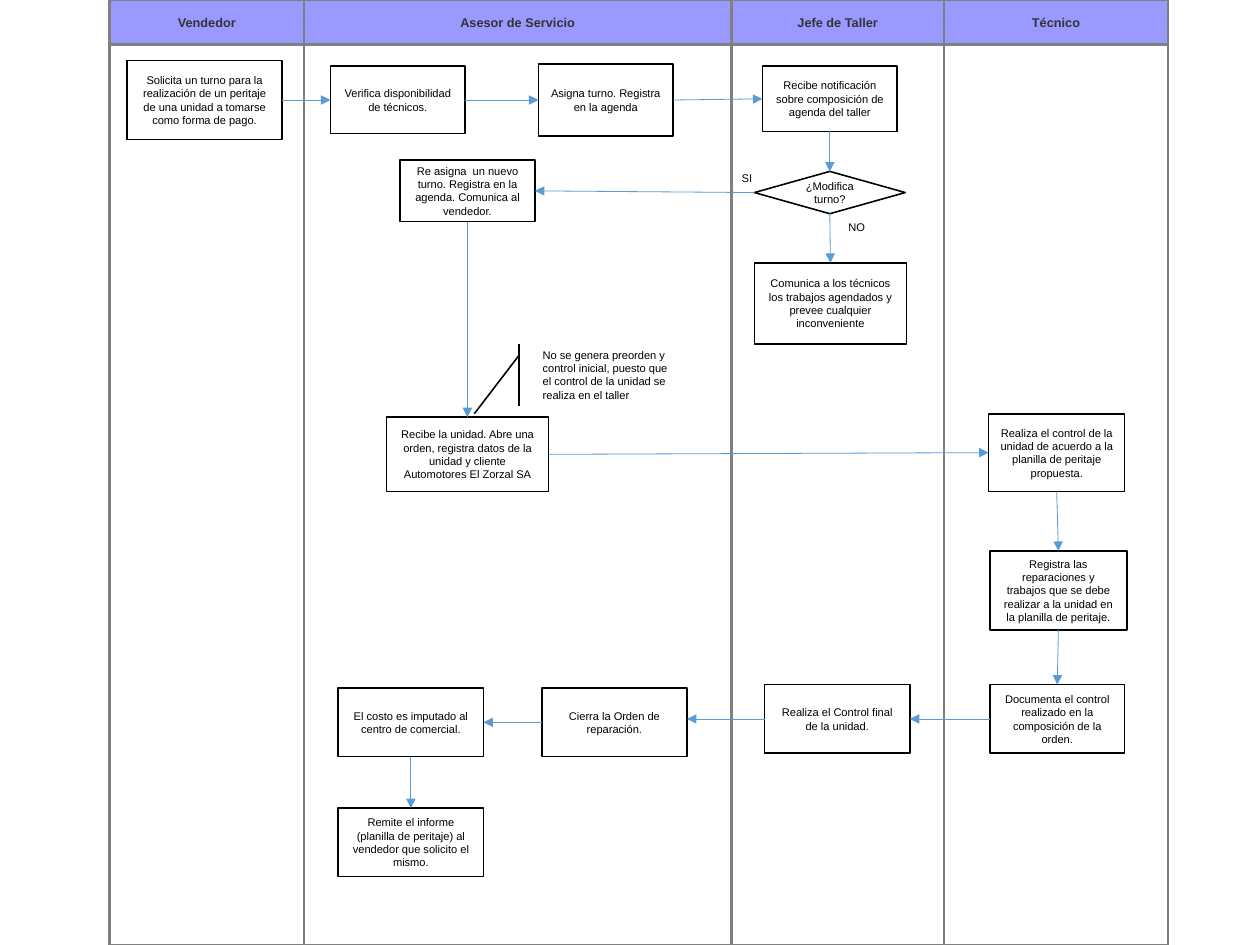
from lxml import etree
from pptx import Presentation
from pptx import util as u
from pptx.dml.color import RGBColor
from pptx.enum import shapes, text
from pptx.oxml.ns import qn

COLORS = {"header": "9999FF", "title": "333333", "border": "808080",
          "box": "FFFFFF", "ink": "000000", "arrow": "5B9BD5"}
PAGE_WIDTH, PAGE_HEIGHT = u.Cm(28), u.Cm(21)
HEADER_HEIGHT = 0.39
LANES = ["Vendedor", "Asesor de Servicio", "Jefe de Taller", "Técnico"]
LANE_EDGES = [0.96, 2.66, 6.4, 8.26, 10.22]

# name: (left, top, width, height, wording)
STEPS = {
    "solicita": (1.11, 0.53, 1.36, 0.69, "Solicita un turno para la realización de un peritaje "
                 "de una unidad a tomarse como forma de pago."),
    "verifica": (2.89, 0.58, 1.18, 0.59, "Verifica disponibilidad de técnicos."),
    "asigna": (4.71, 0.56, 1.18, 0.63, "Asigna turno. Registra en la agenda"),
    "recibe aviso": (6.67, 0.58, 1.18, 0.57,
                     "Recibe notificación sobre composición de agenda del taller"),
    "modifica": (6.6, 1.5, 1.32, 0.37, "¿Modifica turno?"),
    "reasigna": (3.5, 1.4, 1.18, 0.54,
                 "Re asigna  un nuevo turno. Registra en la agenda. Comunica al vendedor."),
    "comunica": (6.6, 2.3, 1.33, 0.71, "Comunica a los técnicos los trabajos agendados y prevee "
                 "cualquier inconveniente"),
    "recibe unidad": (3.38, 3.65, 1.42, 0.65, "Recibe la unidad. Abre una orden, registra datos "
                      "de la unidad y cliente Automotores El Zorzal SA"),
    "controla": (8.65, 3.62, 1.19, 0.68, "Realiza el control de la unidad de acuerdo a la "
                 "planilla de peritaje propuesta."),
    "registra": (8.66, 4.82, 1.2, 0.69, "Registra las reparaciones y trabajos que se debe "
                 "realizar a la unidad en la planilla de peritaje."),
    "documenta": (8.66, 5.99, 1.18, 0.6,
                  "Documenta el control realizado en la composición de la orden."),
    "control final": (6.69, 5.99, 1.27, 0.6, "Realiza el Control final de la unidad."),
    "cierra": (4.74, 6.02, 1.27, 0.6, "Cierra la Orden de reparación."),
    "imputa": (2.96, 6.02, 1.27, 0.6, "El costo es imputado al centro de comercial."),
    "remite": (2.96, 7.07, 1.27, 0.6,
               "Remite el informe (planilla de peritaje) al vendedor que solicito el mismo."),
}
DECISION = "modifica"
ANSWERS = [(6.38, 1.45, 0.31, 0.21, "SI"), (7.32, 1.88, 0.35, 0.28, "NO")]
NOTE = (4.65, 3.01, 1.3, 0.54, "No se genera preorden y control inicial, puesto que el control "
        "de la unidad se realiza en el taller")
NOTE_LINES = [(4.54, 3.01, 4.54, 3.55), (4.54, 3.11, 4.15, 3.62)]

TOP, LEFT, BOTTOM, RIGHT = range(4)  # connection sites of a box
RIGHTWARD, LEFTWARD, DOWNWARD = (RIGHT, LEFT), (LEFT, RIGHT), (BOTTOM, TOP)
FLOWS = [
    ("solicita", "verifica", RIGHTWARD),
    ("verifica", "asigna", RIGHTWARD),
    ("asigna", "recibe aviso", RIGHTWARD),
    ("recibe aviso", "modifica", DOWNWARD),
    ("modifica", "reasigna", LEFTWARD),
    ("modifica", "comunica", DOWNWARD),
    ("reasigna", "recibe unidad", DOWNWARD),
    ("recibe unidad", "controla", RIGHTWARD),
    ("controla", "registra", DOWNWARD),
    ("registra", "documenta", DOWNWARD),
    ("documenta", "control final", LEFTWARD),
    ("cierra", "imputa", LEFTWARD),
    ("imputa", "remite", DOWNWARD),
]
CLOSING_FLOW = (6.69, 6.29, 6.01, 6.29)  # level, though its two boxes are not


def rgb(name):
    return RGBColor.from_string(COLORS[name])


def write(shape, wording, size=7, color="ink", bold=False, align="CENTER",
          anchor="MIDDLE", side=0.1):
    frame = shape.text_frame
    layout = {"word_wrap": True, "vertical_anchor": text.MSO_ANCHOR[anchor],
              "margin_left": u.Inches(side), "margin_right": u.Inches(side),
              "margin_top": u.Inches(0.05), "margin_bottom": u.Inches(0.05)}
    for key, value in layout.items():
        setattr(frame, key, value)
    para = frame.paragraphs[0]
    para.alignment = text.PP_ALIGN[align]
    span = para.add_run()
    span.text = wording
    for key, value in {"name": "Arial", "size": u.Pt(size), "bold": bold}.items():
        setattr(span.font, key, value)
    span.font.color.rgb = rgb(color)


def add_box(page, place, fill=None, line="ink", weight=1, kind="RECTANGLE"):
    box = page.shapes.add_shape(shapes.MSO_SHAPE[kind], *map(u.Inches, place))
    box.shadow.inherit = False
    if fill:
        box.fill.solid()
        box.fill.fore_color.rgb = rgb(fill)
    else:
        box.fill.background()
    if line:
        box.line.color.rgb = rgb(line)
        box.line.width = u.Pt(weight)
    else:
        box.line.fill.background()
    return box


def add_line(page, ends, color="ink", weight=1):
    line = page.shapes.add_connector(shapes.MSO_CONNECTOR.STRAIGHT, *map(u.Inches, ends))
    line.line.color.rgb = rgb(color)
    line.line.width = u.Pt(weight)
    etree.SubElement(line._element.spPr, qn("a:effectLst"))
    return line


def add_arrow(page, ends=(0, 0, 0, 0)):
    arrow = add_line(page, ends, "arrow", 0.5)
    etree.SubElement(arrow.line._get_or_add_ln(), qn("a:tailEnd"), type="triangle")
    return arrow


def main():
    deck = Presentation()
    deck.slide_width, deck.slide_height = PAGE_WIDTH, PAGE_HEIGHT
    page = deck.slides.add_slide(deck.slide_layouts[6])

    for title, left, right in zip(LANES, LANE_EDGES, LANE_EDGES[1:]):
        width = right - left
        add_box(page, (left, 0, width, PAGE_HEIGHT.inches), line="border", weight=1.7)
        header = add_box(page, (left, 0, width, HEADER_HEIGHT), "header", "border", 1.7)
        write(header, title, size=8, color="title", bold=True)

    boxes = {}
    for name, (*place, wording) in STEPS.items():
        decision = name == DECISION
        boxes[name] = add_box(page, place, "box", kind="DIAMOND" if decision else "RECTANGLE")
        write(boxes[name], wording, side=0 if decision else 0.1)

    for *place, answer in ANSWERS:
        label = page.shapes.add_textbox(*map(u.Inches, place))
        write(label, answer, anchor="TOP", side=0)

    *place, wording = NOTE
    write(add_box(page, place, "box", line=None), wording, align="LEFT")
    for ends in NOTE_LINES:
        add_line(page, ends)

    for source, target, (start, end) in FLOWS:
        arrow = add_arrow(page)
        arrow.begin_connect(boxes[source], start)
        arrow.end_connect(boxes[target], end)
    add_arrow(page, CLOSING_FLOW)

    deck.save("out.pptx")


if __name__ == "__main__":
    main()
